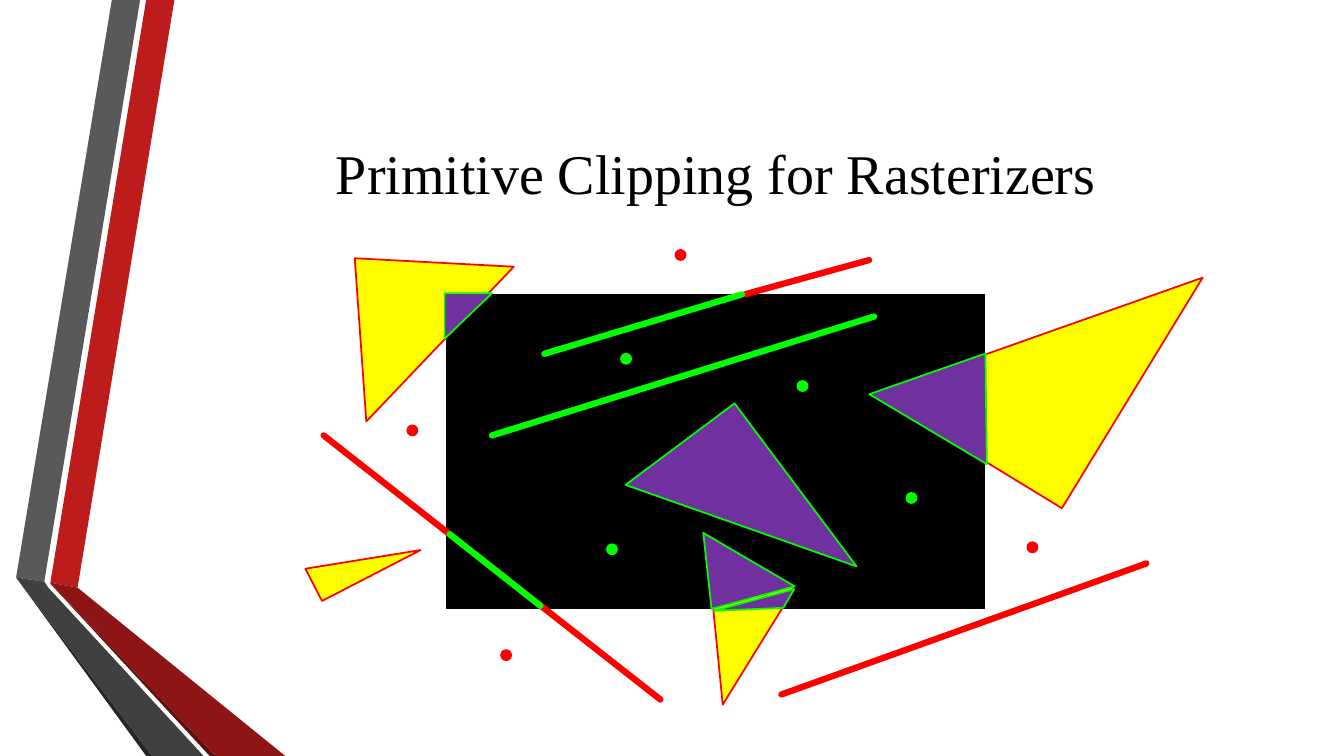
from dataclasses import dataclass

from lxml import etree
from pptx import Presentation
from pptx import util as u
from pptx.dml.color import RGBColor
from pptx.enum import shapes, text
from pptx.oxml.ns import qn

BLACK = RGBColor(0x00, 0x00, 0x00)
WHITE = RGBColor(0xFF, 0xFF, 0xFF)
RED = RGBColor(0xFF, 0x00, 0x00)
GREEN = RGBColor(0x00, 0xFF, 0x00)
YELLOW = RGBColor(0xFF, 0xFF, 0x00)
PURPLE = RGBColor(0x70, 0x30, 0xA0)
BAND_RED = RGBColor(0xBC, 0x1C, 0x1C)
BAND_GREY = RGBColor(0x59, 0x59, 0x59)
EDGE_GREY = RGBColor(0x26, 0x26, 0x26)
EDGE_RED = RGBColor(0x5E, 0x0E, 0x0E)
FOLD_RED = RGBColor(0x8D, 0x15, 0x15)
FOLD_GREY = RGBColor(0x40, 0x40, 0x40)

TITLE_FORMAT = {"name": "Times New Roman", "size": u.Pt(40)}
OUTLINE = u.Pt(1.25)
STROKE = u.Pt(4.5)
DOT_SIZE = 0.1
CM_PER_INCH = 2.54


@dataclass
class Band:
    color: RGBColor
    points: list[tuple[float, float]]


@dataclass
class Triangle:
    left: float
    top: float
    width: float
    height: float
    rotation: float
    apex: float
    visible: bool


@dataclass
class Segment:
    start: tuple[float, float]
    end: tuple[float, float]
    visible: bool


@dataclass
class Dot:
    left: float
    top: float
    visible: bool


BANDS = [
    Band(BAND_RED, [(0.5, 5.78), (0.77, 5.83), (1.73, 0), (1.45, 0)]),
    Band(BAND_GREY, [(1.39, 0), (1.11, 0), (0.16, 5.73), (0.44, 5.77)]),
    Band(EDGE_GREY, [(0.16, 5.73), (1.45, 7.5), (1.51, 7.5)]),
    Band(EDGE_RED, [(0.5, 5.79), (2.08, 7.5), (2.14, 7.5)]),
    Band(FOLD_RED, [(0.5, 5.79), (2.14, 7.5), (2.83, 7.5), (0.77, 5.83), (0.5, 5.78)]),
    Band(FOLD_GREY, [(2.02, 7.5), (0.48, 5.83), (0.44, 5.77), (0.16, 5.73), (1.51, 7.5)]),
]

TRIANGLES = [
    Triangle(9.21, 1.99, 2.18, 2.68, 31.4, 1, False),
    Triangle(8.76, 3.68, 1.22, 1.04, 160.7, 0.287, True),
    Triangle(6.34, 4.54, 2.02, 1.35, 233.2, 1, True),
    Triangle(2.87, 2.4, 2.12, 1.2, 313.6, 0.516, False),
    Triangle(4.42, 2.9, 0.45, 0.47, 90, 0, True),
    Triangle(6.41, 5.63, 1.35, 1.03, 301.7, 1, False),
    Triangle(6.75, 5.51, 1.05, 0.61, 210.3, 0.57, True),
    Triangle(7.09, 5.95, 0.82, 0.15, 164.9, 0.185, True),
    Triangle(3.42, 5, 0.36, 1.1, 62.7, 1, False),
]

SEGMENTS = [
    Segment((3.21, 4.32), (6.55, 6.94), False),
    Segment((4.46, 5.3), (5.36, 6.01), True),
    Segment((8.67, 3.14), (4.88, 4.32), True),
    Segment((7.75, 6.89), (11.37, 5.59), False),
    Segment((7.39, 2.92), (8.62, 2.58), False),
    Segment((5.4, 3.51), (7.36, 2.92), True),
]

DOTS = [
    Dot(8.99, 4.89, True),
    Dot(6.02, 5.4, True),
    Dot(7.91, 3.78, True),
    Dot(6.16, 3.51, True),
    Dot(4.04, 4.22, False),
    Dot(6.7, 2.48, False),
    Dot(10.19, 5.38, False),
    Dot(4.97, 6.45, False),
]


def lengths(*inches: float) -> list[u.Length]:
    return [u.Cm(value * CM_PER_INCH) for value in inches]


def status_color(visible: bool) -> RGBColor:
    return GREEN if visible else RED


def paint(shape, fill: RGBColor, line: RGBColor | None = None) -> None:
    shape.shadow.inherit = False
    shape.fill.solid()
    shape.fill.fore_color.rgb = fill
    if line is None:
        shape.line.fill.background()
    else:
        shape.line.color.rgb = line
        shape.line.width = OUTLINE


def draw_band(page, band: Band) -> None:
    first, *rest = [lengths(*point) for point in band.points]
    builder = page.shapes.build_freeform(*first)
    builder.add_line_segments(rest, close=True)
    paint(builder.convert_to_shape(), band.color)


def draw_title(page, wording: str) -> None:
    box = page.shapes.add_textbox(*lengths(1.62, 0.75, 10.96, 1.92))
    box.text_frame.word_wrap = True
    box.text_frame.vertical_anchor = text.MSO_ANCHOR.MIDDLE
    para = box.text_frame.paragraphs[0]
    para.alignment = text.PP_ALIGN.CENTER
    span = para.add_run()
    span.text = wording
    for name, value in TITLE_FORMAT.items():
        setattr(span.font, name, value)
    span.font.color.rgb = BLACK


def draw_triangle(page, item: Triangle) -> None:
    shape = page.shapes.add_shape(
        shapes.MSO_SHAPE.ISOSCELES_TRIANGLE,
        *lengths(item.left, item.top, item.width, item.height))
    shape.adjustments[0] = item.apex
    shape.rotation = item.rotation
    paint(shape, PURPLE if item.visible else YELLOW, status_color(item.visible))


def draw_segment(page, item: Segment) -> None:
    connector = page.shapes.add_connector(
        shapes.MSO_CONNECTOR.STRAIGHT, *lengths(*item.start, *item.end))
    connector.line.color.rgb = status_color(item.visible)
    connector.line.width = STROKE
    properties = connector._element.spPr
    properties.find(qn("a:ln")).set("cap", "rnd")
    etree.SubElement(properties, qn("a:effectLst"))


def draw_dot(page, item: Dot) -> None:
    shape = page.shapes.add_shape(
        shapes.MSO_SHAPE.OVAL, *lengths(item.left, item.top, DOT_SIZE, DOT_SIZE))
    color = status_color(item.visible)
    paint(shape, color, color)


def main() -> None:
    deck = Presentation()
    deck.slide_width, deck.slide_height = lengths(13.33, 7.5)
    page = deck.slides.add_slide(deck.slide_layouts[6])

    # Folded bands on the left edge
    for band in BANDS:
        draw_band(page, band)

    draw_title(page, "Primitive Clipping for Rasterizers")

    # Clipping window
    window = page.shapes.add_shape(
        shapes.MSO_SHAPE.RECTANGLE, *lengths(4.42, 2.91, 5.36, 3.14))
    paint(window, BLACK, WHITE)

    # Primitives: green outlines are inside the window, red ones outside
    for triangle in TRIANGLES:
        draw_triangle(page, triangle)
    for segment in SEGMENTS:
        draw_segment(page, segment)
    for dot in DOTS:
        draw_dot(page, dot)

    deck.save("out.pptx")


if __name__ == "__main__":
    main()
